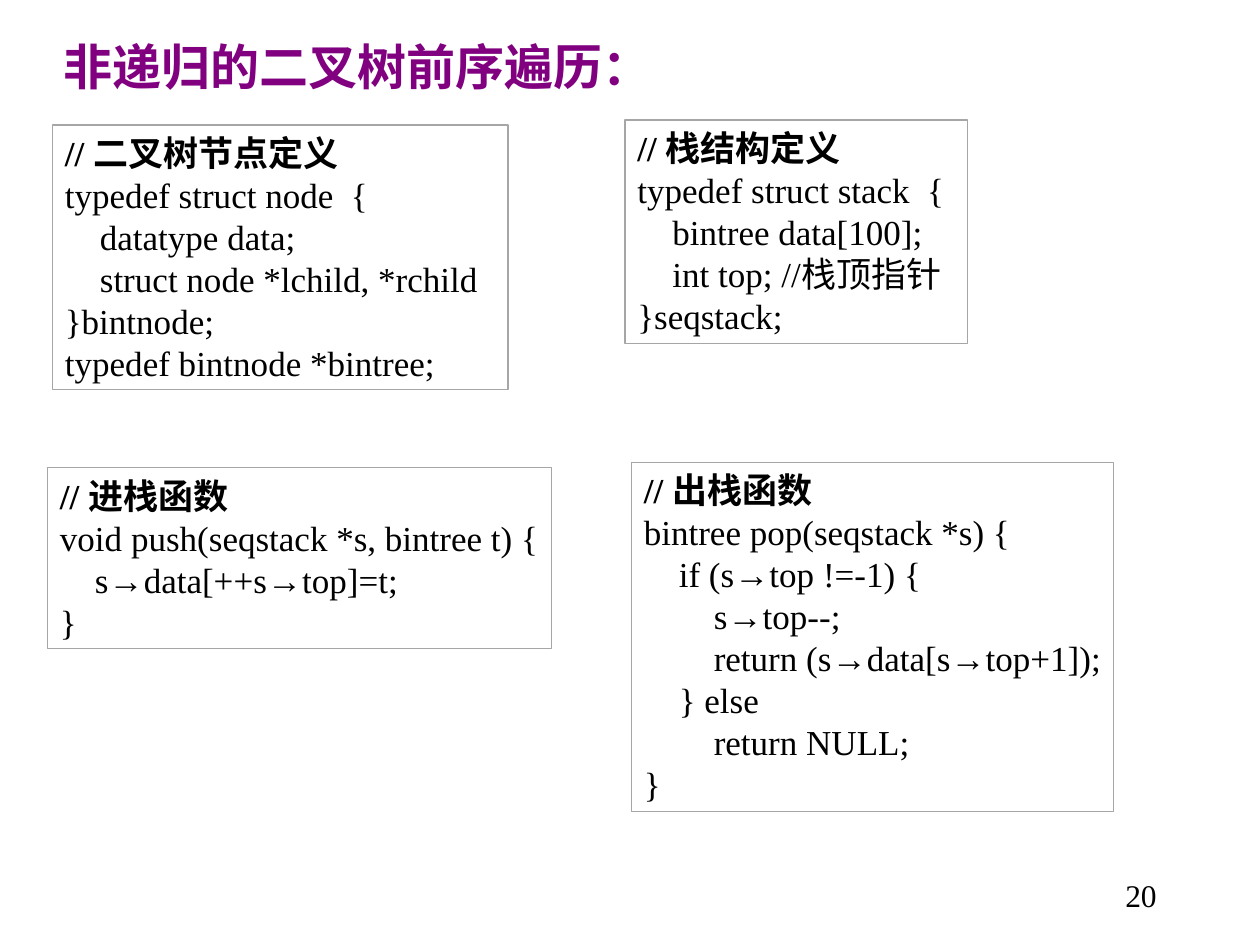
from itertools import groupby

from pptx import Presentation
from pptx.dml.color import RGBColor
from pptx.enum.shapes import MSO_SHAPE
from pptx.enum.text import MSO_ANCHOR, MSO_AUTO_SIZE as FIT, PP_ALIGN
from pptx.util import Cm, Pt

PURPLE = RGBColor(0x80, 0x00, 0x80)
BLACK = RGBColor(0x00, 0x00, 0x00)
GRAY = RGBColor(0xA6, 0xA6, 0xA6)


def write_line(p, text, size, color=BLACK, bold=False, align=PP_ALIGN.LEFT):
    """Fill one paragraph, with the arrows in runs of their own font."""
    p.alignment = align
    p.line_spacing = Pt(size * 1.2)
    p.space_before = Pt(0)
    for is_arrow, chars in groupby(text, lambda c: c == "→"):
        r = p.add_run()
        r.text = "".join(chars)
        r.font.name = "Arial" if is_arrow else "Times New Roman"
        r.font.size = Pt(size)
        r.font.bold = bold
        r.font.color.rgb = color


def set_frame(tf, wrap, fit):
    tf.word_wrap = wrap
    tf.auto_size = fit
    tf.vertical_anchor = MSO_ANCHOR.TOP
    tf.margin_left = tf.margin_right = Cm(0.25)
    tf.margin_top = tf.margin_bottom = Cm(0.13)


prs = Presentation()
prs.slide_width, prs.slide_height = Cm(25.4), Cm(19.05)
s = prs.slides.add_slide(prs.slide_layouts[5])

# Title
title = s.shapes.title
title.left, title.top, title.width, title.height = Cm(1.04), Cm(0.61), Cm(13.69), Cm(1.45)
set_frame(title.text_frame, True, FIT.NONE)
write_line(title.text_frame.paragraphs[0], "非递归的二叉树前序遍历：", 28, PURPLE, True)

# Code boxes: left, top, width, height in cm, wrap, code
boxes = [
    (1.06, 2.52, 9.18, 5.34, False, """// 二叉树节点定义
typedef struct node  {
    datatype data;
    struct node *lchild, *rchild
}bintnode;
typedef bintnode *bintree;"""),
    (12.6, 2.42, 6.91, 4.5, True, """// 栈结构定义
typedef struct stack  {
    bintree data[100];
    int top; //栈顶指针
}seqstack;"""),
    (0.96, 9.43, 10.16, 3.65, False, """// 进栈函数
void push(seqstack *s, bintree t) {
    s→data[++s→top]=t;
}"""),
    (12.73, 9.32, 9.72, 7.04, False, """// 出栈函数
bintree pop(seqstack *s) {
    if (s→top !=-1) {
        s→top--;
        return (s→data[s→top+1]);
    } else
        return NULL;
}"""),
]
for left, top, width, height, wrap, code in boxes:
    sp = s.shapes.add_shape(MSO_SHAPE.RECTANGLE, Cm(left), Cm(top), Cm(width), Cm(height))
    sp.shadow.inherit = False
    sp.fill.background()
    sp.line.color.rgb = GRAY
    sp.line.width = Pt(0.75)
    tf = sp.text_frame
    set_frame(tf, wrap, FIT.SHAPE_TO_FIT_TEXT)
    for i, line in enumerate(code.split("\n")):
        p = tf.add_paragraph() if i else tf.paragraphs[0]
        write_line(p, line, 20, bold=i == 0)

# Page number
number = s.shapes.add_textbox(Cm(18.29), Cm(17.53), Cm(5.28), Cm(1.27))
set_frame(number.text_frame, True, FIT.NONE)
write_line(number.text_frame.paragraphs[0], "20", 18, align=PP_ALIGN.RIGHT)

prs.save("out.pptx")
